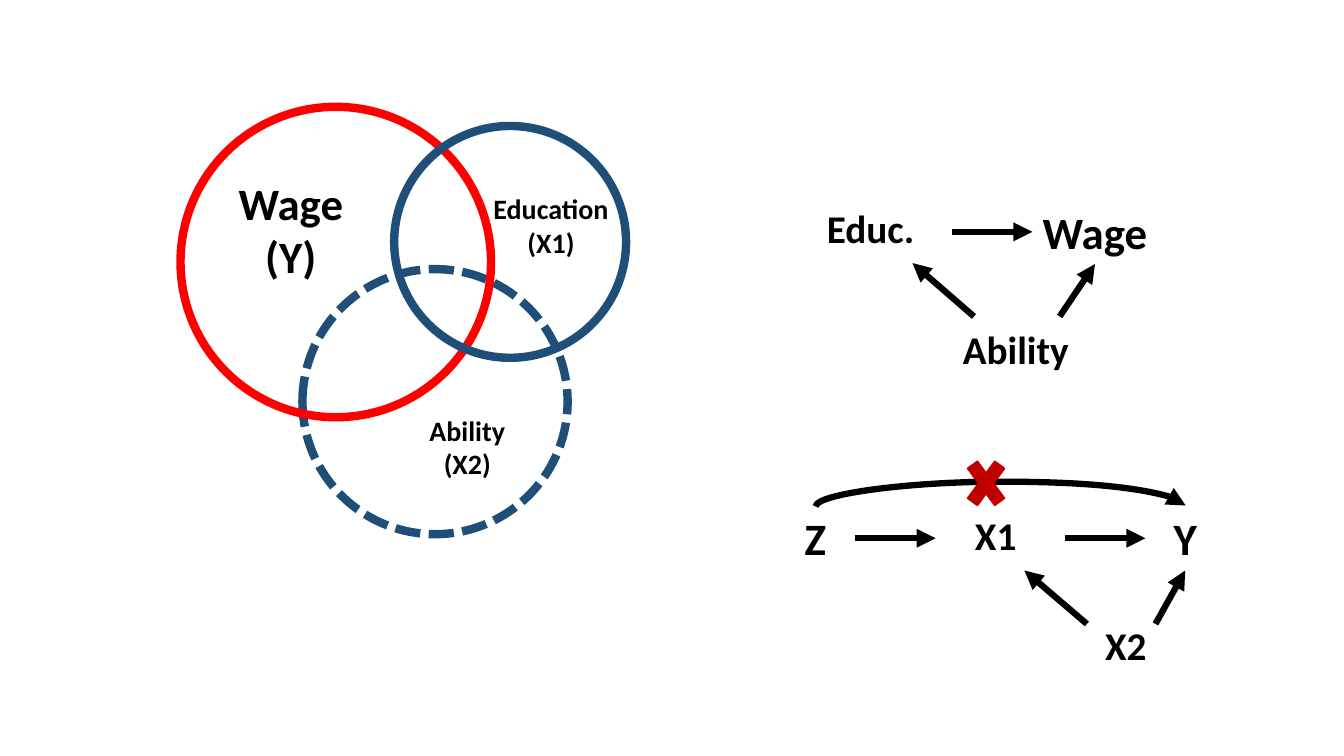
from pptx import Presentation
from pptx.dml.color import RGBColor
from pptx.enum.dml import MSO_LINE
from pptx.enum.shapes import MSO_CONNECTOR as Link, MSO_SHAPE as Preset
from pptx.enum.text import MSO_AUTO_SIZE as AutoSize, PP_ALIGN as Align
from pptx.oxml.ns import qn
from pptx.util import Inches, Pt
from lxml.etree import SubElement

COLORS = {"ink": "000000", "red": "FF0000", "blue": "1F4E79", "cross": "C00000"}


class Diagram:
    font = "Calibri"
    ring_width = 6
    arrow_width = 4.5

    def __init__(self, page):
        self.shapes = page.shapes

    def color(self, name):
        return RGBColor.from_string(COLORS[name])

    def ring(self, left, top, size, color, dash=None):
        ring = self.shapes.add_shape(
            Preset.OVAL, Inches(left), Inches(top), Inches(size), Inches(size))
        ring.shadow.inherit = False
        ring.fill.background()
        ring.line.color.rgb = self.color(color)
        ring.line.width = Pt(self.ring_width)
        if dash is not None:
            ring.line.dash_style = dash

    def cross(self, left, top, width, height):
        cross = self.shapes.add_shape(
            Preset.MATH_MULTIPLY, Inches(left), Inches(top), Inches(width), Inches(height))
        cross.shadow.inherit = False
        cross.fill.solid()
        cross.fill.fore_color.rgb = self.color("cross")
        cross.line.color.rgb = self.color("cross")
        cross.line.width = Pt(1)

    def text(self, text, left, top, width, height, size=28, color="ink", bold=True):
        """Add a centred text box with one paragraph per line of text."""
        box = self.shapes.add_textbox(
            Inches(left), Inches(top), Inches(width), Inches(height))
        frame = box.text_frame
        frame.word_wrap = True
        frame.auto_size = AutoSize.SHAPE_TO_FIT_TEXT
        for index, line in enumerate(text.split("\n")):
            para = frame.add_paragraph() if index else frame.paragraphs[0]
            para.alignment = Align.CENTER
            span = para.add_run()
            span.text = line
            span.font.name = self.font
            span.font.size = Pt(size)
            span.font.bold = bold
            span.font.color.rgb = self.color(color)
        return box

    def arrow(self, start, end, kind=Link.STRAIGHT, target=None):
        """Draw an arrow; a target box is joined at the middle of its bottom."""
        arrow = self.shapes.add_connector(kind, *map(Inches, start + end))
        arrow.line.color.rgb = self.color("ink")
        arrow.line.width = Pt(self.arrow_width)
        SubElement(arrow.line._get_or_add_ln(), qn("a:tailEnd"), type="triangle")
        SubElement(arrow._element.spPr, qn("a:effectLst"))
        if target is not None:
            arrow.end_connect(target, 2)
        return arrow

    def arch(self, left, right, base, rise, drop=0.01):
        """Draw a curved arrow as a quarter-turned connector bulging upwards."""
        center, half = (left + right) / 2, (right - left) / 2
        arch = self.arrow((center + drop / 2, base + half),
                          (center - drop / 2, base - half), Link.CURVE)
        properties = arch._element.spPr
        properties.find(qn("a:xfrm")).set("rot", str(90 * 60000))
        geometry = properties.find(qn("a:prstGeom"))
        guides = geometry.find(qn("a:avLst"))
        if guides is None:
            guides = SubElement(geometry, qn("a:avLst"))
        SubElement(guides, qn("a:gd"), name="adj1",
                   fmla=f"val {round(rise / drop * 100000)}")


def draw_venn(diagram):
    diagram.ring(3, 2.67, 2.63, "blue", MSO_LINE.SQUARE_DOT)
    diagram.ring(1.79, 1.06, 3.08, "red")
    diagram.ring(3.91, 1.25, 2.3, "blue")
    diagram.text("Wage\n(Y)", 2.16, 1.69, 1.45, 1.18, size=32)
    diagram.text("Education\n(X1)", 4.59, 1.85, 1.75, 0.77, size=20)
    diagram.text("Ability\n(X2)", 3.81, 4.05, 1.65, 0.77, size=20)


def draw_wage_paths(diagram):
    wage = diagram.text("Wage", 10.21, 1.98, 1.3, 0.64, size=32)
    diagram.text("Educ.", 8.07, 1.98, 1.13, 0.57)
    diagram.text("Ability", 9.38, 3.18, 1.39, 0.57)
    diagram.arrow((9.44, 2.3), (10.24, 2.3))
    diagram.arrow((10.51, 3.14), (10.86, 2.62), target=wage)
    diagram.arrow((9.66, 3.14), (9.05, 2.61))


def draw_instrument_paths(diagram):
    outcome = diagram.text("Y", 11.16, 5.02, 1.19, 0.64, size=32)
    diagram.text("X1", 9.43, 5.02, 0.89, 0.57)
    diagram.text("X2", 10.72, 6.11, 0.89, 0.57)
    diagram.text("Z", 7.49, 5.02, 1.19, 0.64, size=32)
    for left in (8.48, 10.56):
        diagram.arrow((left, 5.34), (left + 0.8, 5.34))
    diagram.arrow((11.46, 6.19), (11.76, 5.66), target=outcome)
    diagram.arrow((10.78, 6.19), (10.16, 5.66))
    diagram.arch(8.09, 11.76, base=5.02, rise=0.25)
    diagram.cross(9.52, 4.44, 0.52, 0.71)


def main():
    deck = Presentation()
    deck.slide_width, deck.slide_height = Inches(13.33), Inches(7.5)
    diagram = Diagram(deck.slides.add_slide(deck.slide_layouts[6]))
    draw_venn(diagram)
    draw_wage_paths(diagram)
    draw_instrument_paths(diagram)
    deck.save("out.pptx")


if __name__ == "__main__":
    main()
